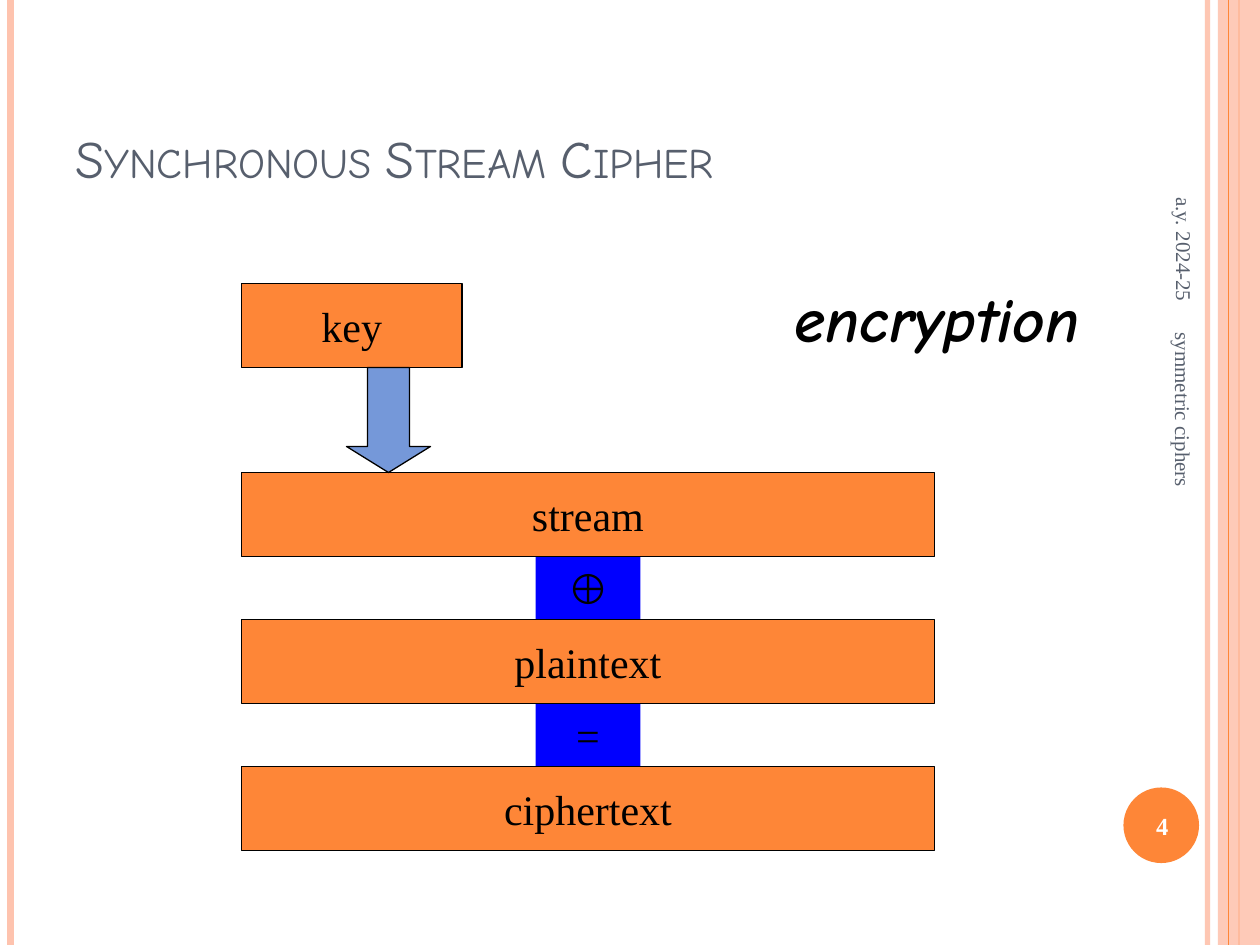
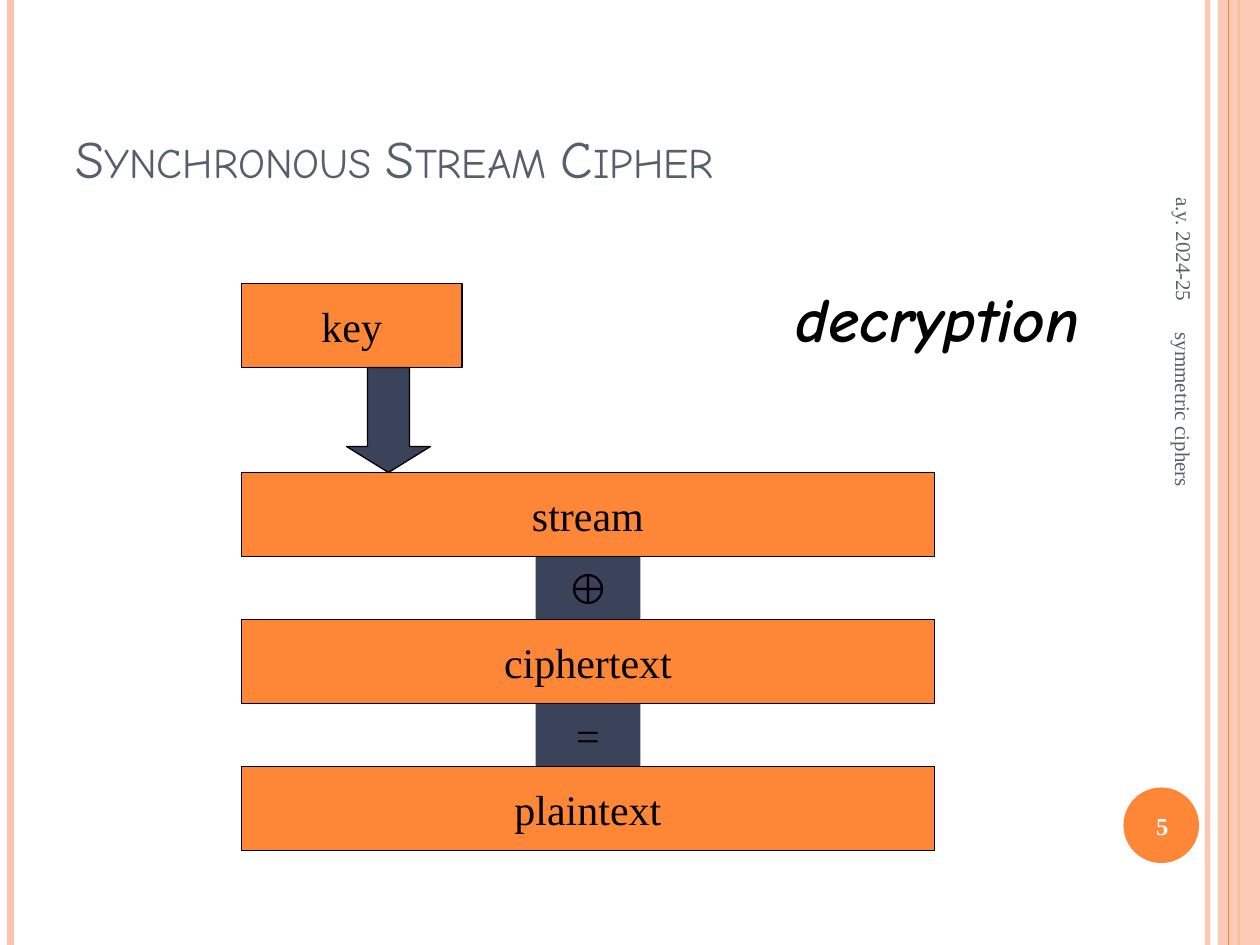
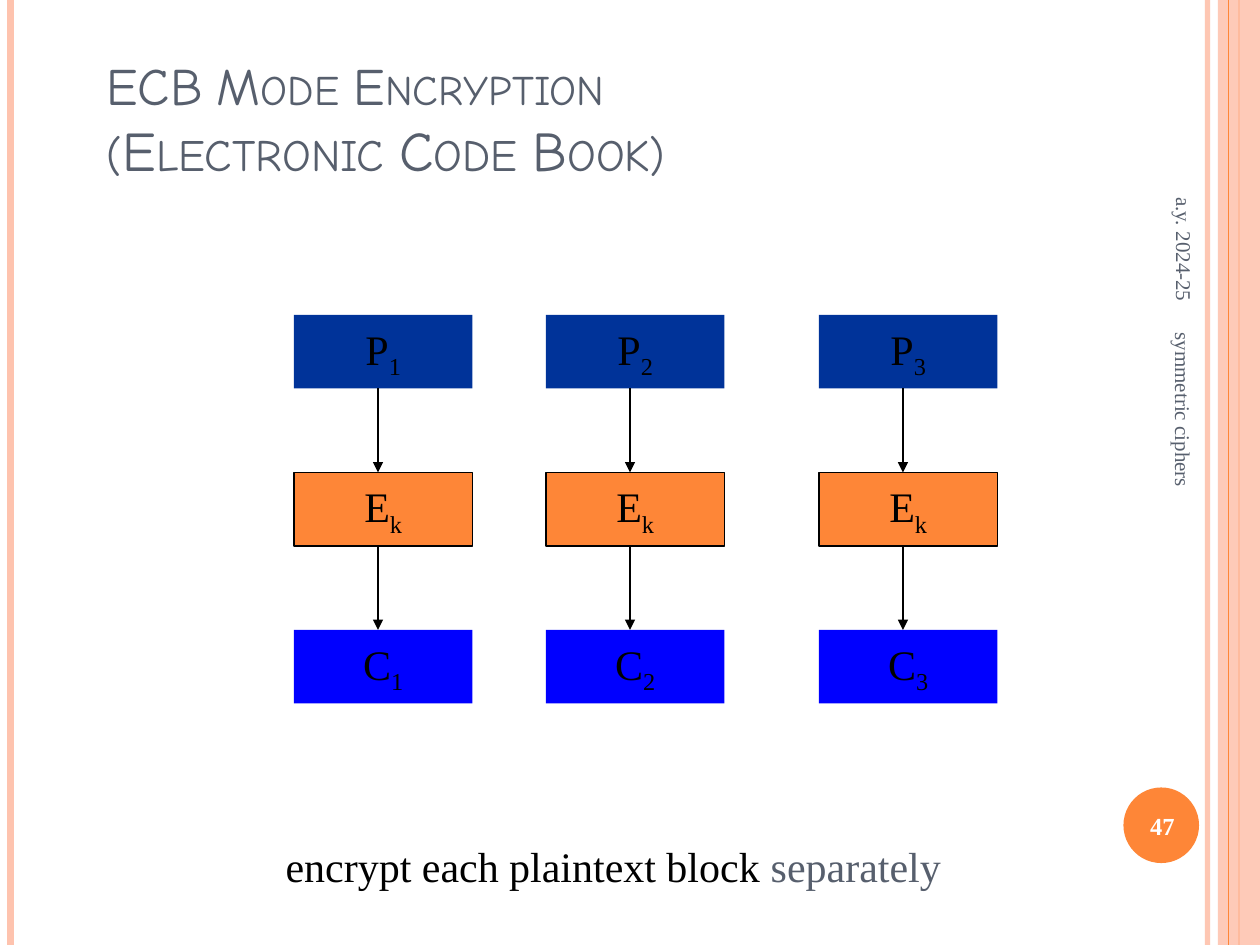
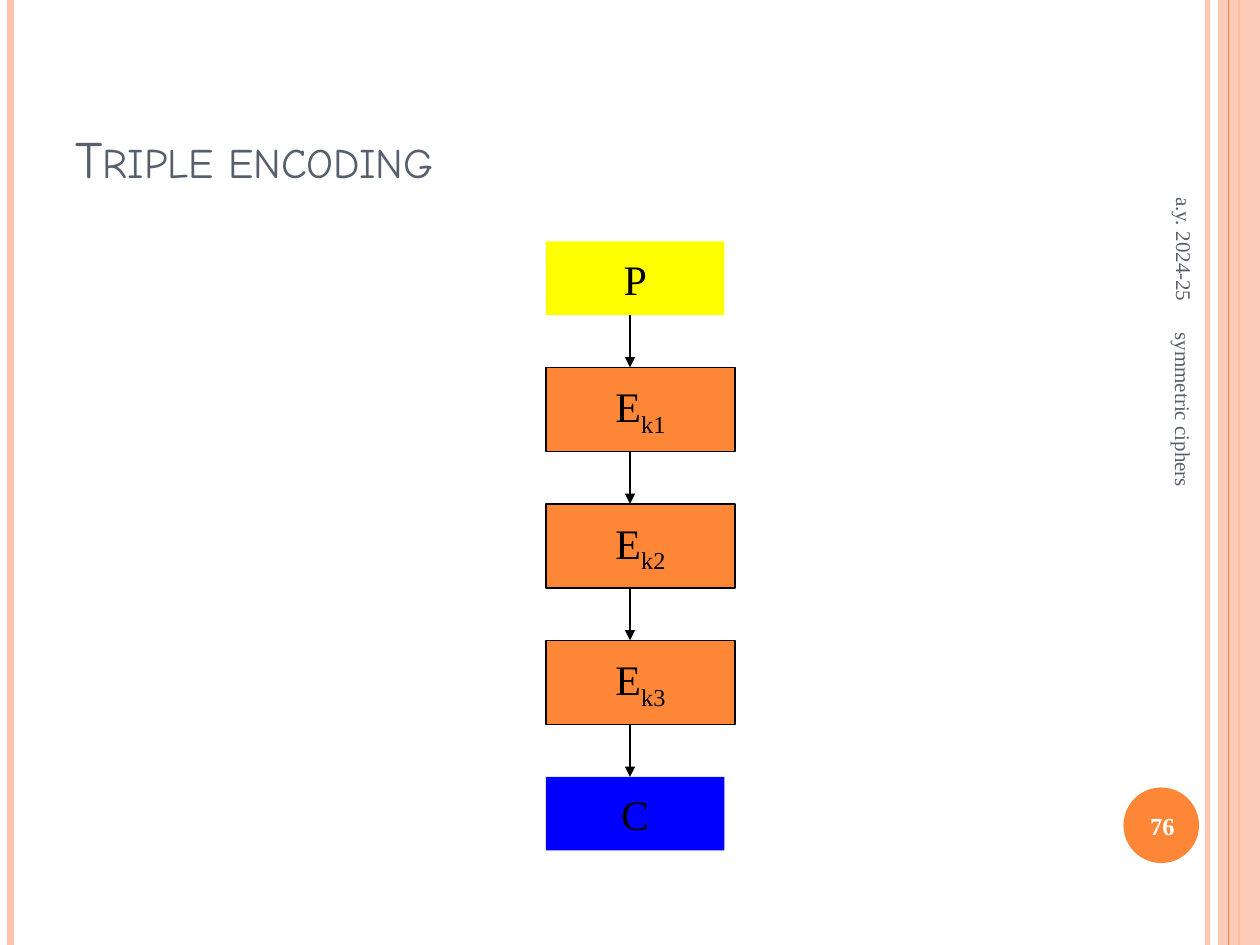
from lxml import etree
from pptx import Presentation
from pptx.dml.color import RGBColor
from pptx.enum.shapes import MSO_CONNECTOR, MSO_SHAPE
from pptx.enum.text import MSO_ANCHOR, PP_ALIGN
from pptx.oxml.ns import qn
from pptx.util import Inches, Pt

LINE = MSO_CONNECTOR.STRAIGHT
RECT, OVAL, DOWN_ARROW = MSO_SHAPE.RECTANGLE, MSO_SHAPE.OVAL, MSO_SHAPE.DOWN_ARROW
LEFT, CENTER, RIGHT = PP_ALIGN.LEFT, PP_ALIGN.CENTER, PP_ALIGN.RIGHT
TOP, MIDDLE, BOTTOM = MSO_ANCHOR.TOP, MSO_ANCHOR.MIDDLE, MSO_ANCHOR.BOTTOM

# Grid of 120 columns by 90 rows, one twelfth of an inch each
COLS, ROWS, CELLS_PER_INCH = 120, 90, 12

ORANGE, PEACH, SLATE = "FE8637", "FEC3AE", "575F6D"
BLACK, WHITE, BLUE, NAVY = "000000", "FFFFFF", "0000FF", "003399"
YELLOW, SKY, INK = "FFFF00", "7598D9", "3B435B"

# Text formats
BODY = {"name": "Times New Roman", "size": 24, "color": BLACK}
SUBSCRIPT = {**BODY, "baseline": "-25000"}
ACCENT = {**BODY, "color": SLATE}
FOOTER = {**BODY, "size": 12, "color": SLATE}
NUMBER = {**BODY, "size": 14, "color": WHITE, "bold": True}
TITLE = {"name": "Comic Neue", "size": 30, "color": SLATE, "cap": "small"}
SUBTITLE = {**TITLE, "size": 32}
LABEL = {"name": "Comic Neue", "size": 36, "color": BLACK, "bold": True, "italic": True}


def grid(*cells):
    return [Inches(cell / CELLS_PER_INCH) for cell in cells]


def rgb(hex_color):
    return RGBColor.from_string(hex_color)


def set_alpha(solid_fill_owner, percent):
    color = solid_fill_owner.find(".//" + qn("a:srgbClr"))
    etree.SubElement(color, qn("a:alpha"), val=str(percent * 1000))


def format_run(run, style):
    for key, value in style.items():
        if key == "color":
            run.font.color.rgb = rgb(value)
        elif key in ("cap", "baseline"):
            run.font._element.set(key, value)
        else:
            setattr(run.font, key, Pt(value) if key == "size" else value)


def write(shape, lines, align=CENTER, anchor=MIDDLE, wrap=True):
    """Fill a shape with lines, each a list of (text, style) runs."""
    frame = shape.text_frame
    frame.word_wrap, frame.vertical_anchor = wrap, anchor
    paragraph = frame.paragraphs[0]
    paragraph.alignment = align
    for index, line in enumerate(lines):
        if index:
            paragraph.add_line_break()
        for text, style in line:
            run = paragraph.add_run()
            run.text = text
            format_run(run, style)


def add_text(slide, box, lines, rotation=0, **layout):
    text_box = slide.shapes.add_textbox(*grid(*box))
    text_box.rotation = rotation
    write(text_box, lines, **layout)


def add_block(slide, box, fill, outline=False, runs=(), kind=RECT):
    block = slide.shapes.add_shape(kind, *grid(*box))
    block.shadow.inherit = False
    block.fill.solid()
    block.fill.fore_color.rgb = rgb(fill)
    if outline:
        block.line.color.rgb = rgb(BLACK)
        block.line.width = Pt(0.75)
    else:
        block.line.fill.background()
    if runs:
        write(block, [runs], wrap=False)
    return block


def add_vertical(slide, col, top, bottom, color, width, arrow=False):
    rule = slide.shapes.add_connector(LINE, *grid(col, top, col, bottom))
    rule.line.color.rgb = rgb(color)
    rule.line.width = Pt(width)
    if arrow:
        etree.SubElement(rule.line._get_or_add_ln(), qn("a:tailEnd"), type="triangle")
    etree.SubElement(rule._element.spPr, qn("a:effectLst"))
    return rule


def add_frame(prs, number, title, title_box=(6, 3.6, 98, 15)):
    """Start a slide with its side bands, title, footers and number."""
    slide = prs.slides.add_slide(prs.slide_layouts[6])

    # Side bands
    inner = add_vertical(slide, 115, 0, ROWS, PEACH, 3)
    set_alpha(inner._element.spPr, 93)
    add_vertical(slide, 1, 0, ROWS, PEACH, 4.5)
    add_vertical(slide, 118, 0, ROWS, ORANGE, 1.5)
    band = add_block(slide, (116, 0, COLS - 116, ROWS), PEACH)
    set_alpha(band._element.spPr, 87)
    add_vertical(slide, 117, 0, ROWS, ORANGE, 0.75)

    # Title, number and footers
    add_text(slide, title_box, title, align=LEFT, anchor=BOTTOM)
    add_block(slide, (107, 75, 7.2, 7.2), ORANGE, kind=OVAL)
    add_text(slide, (106.7, 75.2, 8, 6.9), [[(str(number), NUMBER)]])
    add_text(slide, (99.6, 14.2, 26.4, 5), [[("a.y. 2024-25", FOOTER)]], 90, align=RIGHT)
    add_text(slide, (91.7, 49.1, 42, 4.8), [[("symmetric ciphers", FOOTER)]], 90, align=LEFT)
    return slide


def add_stream_cipher(slide, left, top, label, middle, result, link_fill, arrow_fill):
    """Key above a stack of three bars joined by operators."""
    bar_width, bar_height, link_width, link_height = 66, 8, 10, 6
    first_bar = top + 18

    # Operators between the bars
    for index, operator in enumerate("⊕="):
        row = first_bar + bar_height + index * (bar_height + link_height)
        col = left + (bar_width - link_width) / 2
        add_block(slide, (col, row, link_width, link_height), link_fill,
                  runs=[(operator, BODY)])

    # Key and bars
    add_block(slide, (left, top, 21, bar_height), ORANGE, True, [("key", BODY)])
    for index, text in enumerate(("stream", middle, result)):
        row = first_bar + index * (bar_height + link_height)
        add_block(slide, (left, row, bar_width, bar_height), ORANGE, True, [(text, BODY)])

    # Arrow from key to stream
    arrow = add_block(slide, (left + 10, top + bar_height, 8, 10), arrow_fill, True,
                      kind=DOWN_ARROW)
    arrow.adjustments[0], arrow.adjustments[1] = 0.5, 0.31

    add_text(slide, (left + 48, top - 1, 33, 8.5), [[(label, LABEL)]],
             align=RIGHT, anchor=TOP)


def add_chain(slide, left, top, gap, steps):
    """Blocks from top to bottom, with an arrow between each pair."""
    row = top
    for index, (letter, subscript, fill, outline, width, height) in enumerate(steps):
        if index:
            add_vertical(slide, left + 8, row, row + gap, BLACK, 0.75, arrow=True)
            row += gap
        runs = [(letter, BODY)] + ([(subscript, SUBSCRIPT)] if subscript else [])
        add_block(slide, (left, row, width, height), fill, outline, runs)
        row += height


def main():
    prs = Presentation()
    prs.slide_width, prs.slide_height = grid(COLS, ROWS)

    # Synchronous stream cipher, both directions
    directions = (
        (4, "encryption", "plaintext", "ciphertext", BLUE, SKY),
        (5, "decryption", "ciphertext", "plaintext", INK, INK),
    )
    for number, *parts in directions:
        slide = add_frame(prs, number, [[("Synchronous Stream Cipher", TITLE)]])
        add_stream_cipher(slide, 23, 27, *parts)

    # ECB mode
    slide = add_frame(prs, 47, [[("ECB Mode Encryption", TITLE)],
                                [("(Electronic Code Book)", SUBTITLE)]], (9, 3, 102, 15))
    for index, col in enumerate((28, 52, 78), start=1):
        add_chain(slide, col, 30, 8, [
            ("P", str(index), NAVY, False, 17, 7),
            ("E", "k", ORANGE, True, 17, 7),
            ("C", str(index), BLUE, False, 17, 7),
        ])
    add_text(slide, (26, 79.5, 64.8, 6),
             [[("encrypt each plaintext block ", BODY), ("separately", ACCENT)]],
             align=RIGHT, anchor=TOP, wrap=False)

    # Triple encoding
    slide = add_frame(prs, 76, [[("Triple encoding", TITLE)]])
    add_chain(slide, 52, 23, 5, [
        ("P", "", YELLOW, False, 17, 7),
        *(("E", f"k{index}", ORANGE, True, 18, 8) for index in range(1, 4)),
        ("C", "", BLUE, False, 17, 7),
    ])

    prs.save("out.pptx")


if __name__ == "__main__":
    main()
